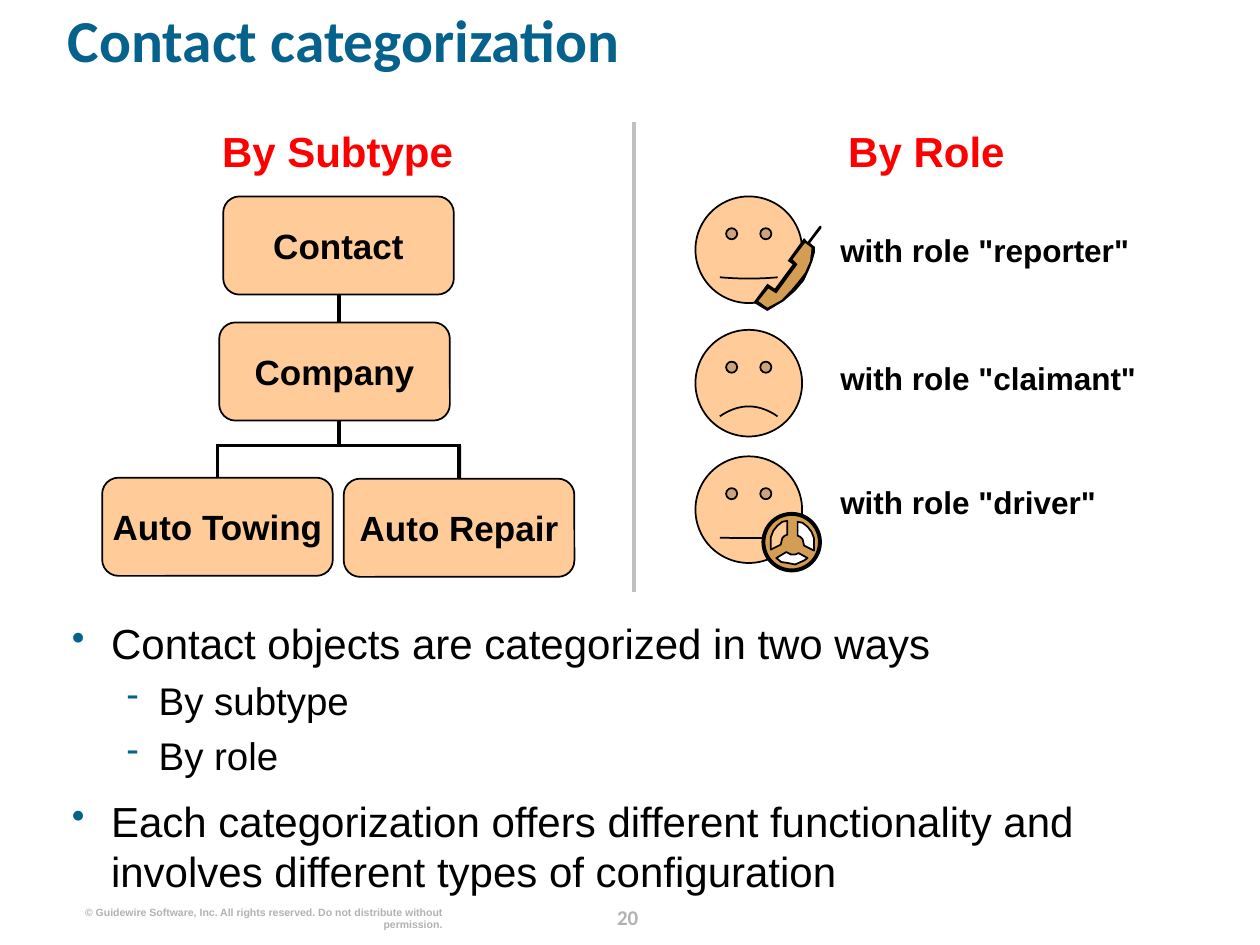
import lxml.etree
import pptx
import pptx.dml.color
import pptx.enum.shapes
import pptx.enum.text
import pptx.oxml.ns
import pptx.util

Cm = pptx.util.Cm
Pt = pptx.util.Pt
RGBColor = pptx.dml.color.RGBColor
SHAPE = pptx.enum.shapes.MSO_SHAPE
ALIGN = pptx.enum.text.PP_ALIGN
ANCHOR = pptx.enum.text.MSO_ANCHOR
qn = pptx.oxml.ns.qn

BLUE = RGBColor(0x04, 0x62, 0x8C)
RED = RGBColor(0xFF, 0x00, 0x00)
BLACK = RGBColor(0x00, 0x00, 0x00)
WHITE = RGBColor(0xFF, 0xFF, 0xFF)
PEACH = RGBColor(0xFF, 0xCC, 0x99)
TAN = RGBColor(0xD3, 0x9E, 0x54)
SILVER = RGBColor(0xC0, 0xC0, 0xC0)
GREY = RGBColor(0xB2, 0xB2, 0xB2)

BOX_W, BOX_H = 4.65, 1.98
BAR_Y = 8.98
FACE_X, FACE_SIZE = 14.02, 2.15

# Outlines of the props, in hundredths of a centimetre
HANDSET = [(1547, 572), (1562, 582), (1598, 533), (1588, 526), (1621, 480),
           (1628, 488), (1651, 457), (1654, 455), (1656, 457), (1656, 460),
           (1633, 490), (1643, 498), (1643, 508), (1638, 526), (1631, 544),
           (1621, 566), (1603, 587), (1580, 607), (1547, 627), (1519, 610)]
HANDSET_BODY = [(1547, 620), (1575, 605), (1595, 584), (1610, 566), (1623, 549),
                (1633, 526), (1636, 500), (1623, 490), (1598, 523), (1608, 533),
                (1565, 592), (1549, 582), (1529, 607)]
WHEEL_RIGHT = [(1608, 1080), (1608, 1052), (1618, 1054), (1628, 1062), (1636, 1072),
               (1641, 1085), (1641, 1110), (1621, 1100), (1618, 1087), (1613, 1082)]
WHEEL_LEFT = [(3195 - x, y - 2) for x, y in WHEEL_RIGHT]
WHEEL_BOTTOM = [(1610, 1115), (1628, 1125), (1621, 1130), (1603, 1138), (1588, 1135),
                (1575, 1133), (1565, 1125), (1585, 1113), (1595, 1118), (1603, 1118)]


def clear_margins(frame, anchor=ANCHOR.TOP):
    frame.margin_left = frame.margin_right = frame.margin_top = frame.margin_bottom = 0
    frame.word_wrap = True
    frame.auto_size = pptx.enum.text.MSO_AUTO_SIZE.NONE
    frame.vertical_anchor = anchor


def add_run(paragraph, words, size, color, bold=True, font="Arial"):
    run = paragraph.add_run()
    run.text = words
    run.font.name, run.font.size, run.font.bold = font, Pt(size), bold
    run.font.color.rgb = color


def add_label(slide, left, top, width, height, words, size, color,
              align=ALIGN.LEFT, font="Arial"):
    label = slide.shapes.add_textbox(Cm(left), Cm(top), Cm(width), Cm(height))
    clear_margins(label.text_frame)
    paragraph = label.text_frame.paragraphs[0]
    paragraph.alignment = align
    add_run(paragraph, words, size, color, font=font)
    return paragraph


def paint(shape, fill, line_width=1):
    shape.shadow.inherit = False
    shape.fill.solid()
    shape.fill.fore_color.rgb = fill
    if line_width:
        shape.line.color.rgb = BLACK
        shape.line.width = Pt(line_width)
    else:
        shape.line.fill.background()


def add_type_box(slide, left, top, words):
    box = slide.shapes.add_shape(SHAPE.ROUNDED_RECTANGLE,
                                 Cm(left), Cm(top), Cm(BOX_W), Cm(BOX_H))
    paint(box, PEACH)
    clear_margins(box.text_frame, ANCHOR.MIDDLE)
    paragraph = box.text_frame.paragraphs[0]
    paragraph.alignment = ALIGN.CENTER
    add_run(paragraph, words, 20, BLACK)
    return box


def add_line(slide, x1, y1, x2, y2, color=BLACK):
    line = slide.shapes.add_connector(pptx.enum.shapes.MSO_CONNECTOR.STRAIGHT,
                                      Cm(x1), Cm(y1), Cm(x2), Cm(y2))
    line.line.color.rgb = color
    line.line.width = Pt(2.25)
    lxml.etree.SubElement(line._element.spPr, qn("a:effectLst"))
    return line


def add_face(slide, top, smile):
    face = slide.shapes.add_shape(SHAPE.SMILEY_FACE, Cm(FACE_X), Cm(top),
                                  Cm(FACE_SIZE), Cm(FACE_SIZE))
    face.adjustments[0] = smile
    paint(face, PEACH)


def add_outline(slide, points, fill, line_width=1):
    builder = slide.shapes.build_freeform(*points[0], scale=Cm(0.01))
    builder.add_line_segments(points[1:], close=True)
    paint(builder.convert_to_shape(), fill, line_width)


def add_bullet(paragraph, level, words):
    mark, size, margin, hang, space = [("•", 24, 0.79, 0.79, 10),
                                       ("-", 22, 1.75, 0.64, 5)][level]
    props = paragraph._p.get_or_add_pPr()
    props.set("marL", str(Cm(margin)))
    props.set("indent", str(-Cm(hang)))
    bullet_color = lxml.etree.SubElement(props, qn("a:buClr"))
    lxml.etree.SubElement(bullet_color, qn("a:srgbClr"), val=str(BLUE))
    lxml.etree.SubElement(props, qn("a:buSzPct"), val="90000")
    lxml.etree.SubElement(props, qn("a:buChar"), char=mark)
    paragraph.level = level
    paragraph.space_before = Pt(space)
    add_run(paragraph, words, size, BLACK, bold=False)


def add_title(slide):
    title = slide.shapes.title
    title.left, title.top, title.width, title.height = Cm(1.37), Cm(0.33), Cm(23.11), Cm(2.06)
    clear_margins(title.text_frame)
    paragraph = title.text_frame.paragraphs[0]
    paragraph.alignment = ALIGN.LEFT
    paragraph.line_spacing = 0.8
    add_run(paragraph, "Contact categorization", 34, BLUE, font="Calibri")


def add_subtypes(slide):
    add_label(slide, 4.06, 2.54, 5.49, 1.02, "By Subtype", 24, RED, ALIGN.CENTER)
    contact = add_type_box(slide, 4.5, 3.96, "Contact")
    # The trunk runs behind Company to the branch bar
    trunk_x = 4.5 + BOX_W / 2
    trunk = add_line(slide, trunk_x, 3.96 + BOX_H, trunk_x, BAR_Y)
    trunk.begin_connect(contact, 2)
    add_type_box(slide, 4.42, 6.5, "Company")
    branches = [(2.06, 9.63, "Auto Towing"), (6.93, 9.65, "Auto Repair")]
    centers = [left + BOX_W / 2 for left, _, _ in branches]
    add_line(slide, centers[0] - 0.04, BAR_Y, centers[1] + 0.04, BAR_Y)
    for (left, top, words), center in zip(branches, centers):
        box = add_type_box(slide, left, top, words)
        add_line(slide, center, BAR_Y, center, top).end_connect(box, 0)


def add_roles(slide):
    add_label(slide, 15.93, 2.54, 5.49, 1.02, "By Role", 24, RED, ALIGN.CENTER)
    roles = [("reporter", 3.96, 0.006, 4.65),
             ("claimant", 6.65, -0.047, 7.24),
             ("driver", 9.2, 0.002, 9.73)]
    for role, face_top, smile, label_top in roles:
        add_face(slide, face_top, smile)
        add_label(slide, 16.94, label_top, 6.91, 0.76, f'with role "{role}"', 18, BLACK)
    # Telephone handset
    add_outline(slide, HANDSET, BLACK, 0)
    add_outline(slide, HANDSET_BODY, TAN, 0)
    # Steering wheel
    wheel = slide.shapes.add_shape(SHAPE.OVAL, Cm(15.39), Cm(10.36), Cm(1.14), Cm(1.14))
    paint(wheel, TAN, 2.25)
    for opening, fill in [(WHEEL_RIGHT, WHITE), (WHEEL_LEFT, PEACH), (WHEEL_BOTTOM, WHITE)]:
        add_outline(slide, opening, fill)


def add_summary(slide):
    summary = slide.shapes.add_textbox(Cm(1.45), Cm(12.45), Cm(23.11), Cm(5.36))
    frame = summary.text_frame
    clear_margins(frame)
    points = [(0, "Contact objects are categorized in two ways"),
              (1, "By subtype"),
              (1, "By role"),
              (0, "Each categorization offers different functionality and "
                  "involves different types of configuration")]
    for index, (level, words) in enumerate(points):
        paragraph = frame.add_paragraph() if index else frame.paragraphs[0]
        add_bullet(paragraph, level, words)
    frame.paragraphs[0].space_before = Pt(0)


def add_footer(slide):
    number = add_label(slide, 11.93, 18.11, 1.45, 0.64, "20", 12, GREY,
                       ALIGN.CENTER, "Calibri")
    number.line_spacing = Pt(18)
    add_label(slide, 1.55, 18.26, 7.37, 0.5,
              "© Guidewire Software, Inc. All rights reserved. "
              "Do not distribute without permission.", 6, GREY, ALIGN.RIGHT)


def main():
    deck = pptx.Presentation()
    deck.slide_width, deck.slide_height = Cm(25.4), Cm(19.05)
    slide = deck.slides.add_slide(deck.slide_layouts[5])
    add_title(slide)
    add_subtypes(slide)
    add_line(slide, 12.78, 2.46, 12.78, 11.94, SILVER)  # divider between the columns
    add_roles(slide)
    add_summary(slide)
    add_footer(slide)
    deck.save("out.pptx")


if __name__ == "__main__":
    main()
